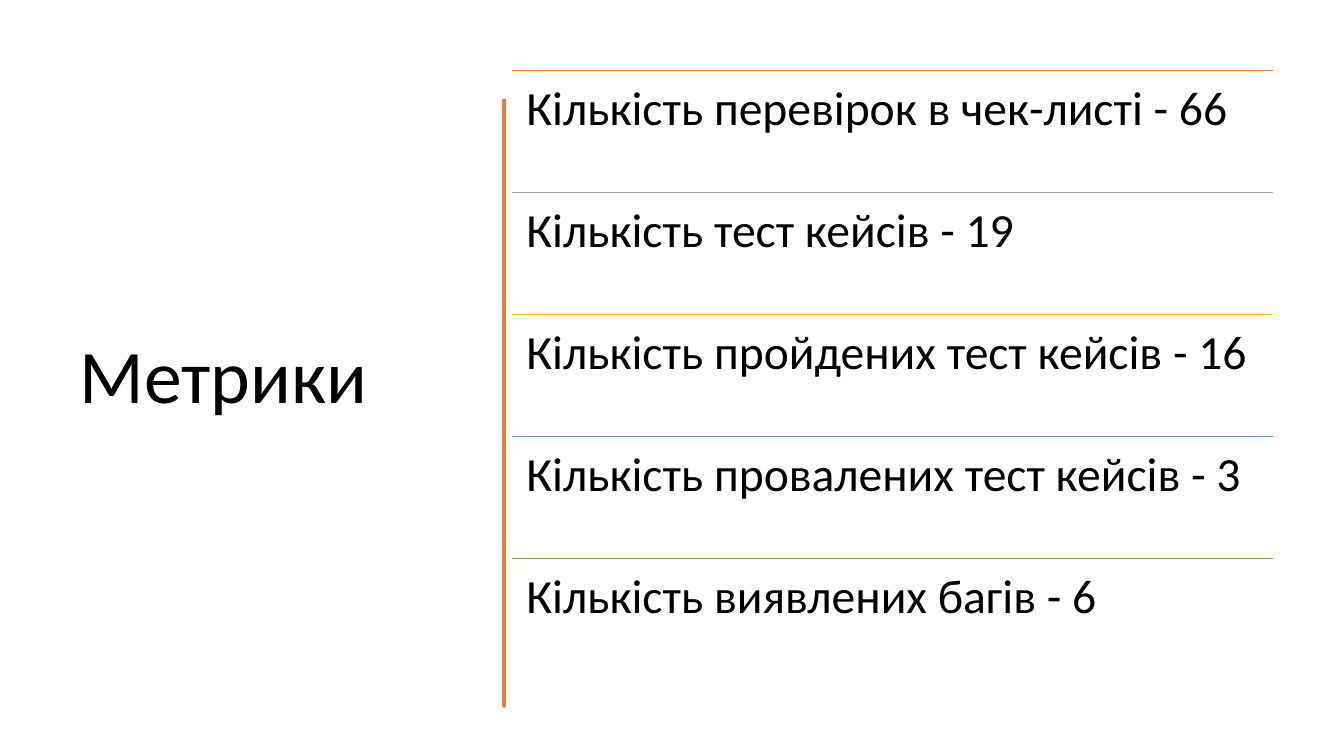
import dataclasses

import pptx
import pptx.dml.color
import pptx.enum.shapes
import pptx.enum.text
import pptx.oxml.ns
import pptx.util
import lxml.etree


@dataclasses.dataclass(frozen=True)
class Theme:
    font: str = "Calibri"
    text: str = "000000"
    brush: str = "ED7D31"
    rules: tuple = ("ED7D31", "A5A5A5", "FFC000", "599BD5", "70AD47")
    title_size: float = 54
    metric_size: float = 34
    rule_width: float = 1
    brush_width: float = 3.25


def color(value):
    return pptx.dml.color.RGBColor.from_string(value)


def write_text(shape, text, *, font, size, fill, anchor, margins):
    frame = shape.text_frame
    frame.word_wrap = True
    frame.auto_size = pptx.enum.text.MSO_AUTO_SIZE.NONE
    frame.vertical_anchor = anchor
    horizontal, vertical = map(pptx.util.Inches, margins)
    frame.margin_left = frame.margin_right = horizontal
    frame.margin_top = frame.margin_bottom = vertical
    paragraph = frame.paragraphs[0]
    paragraph.alignment = pptx.enum.text.PP_ALIGN.LEFT
    paragraph.line_spacing = 0.9
    run = paragraph.add_run()
    run.text = text
    run.font.name = font
    run.font.size = pptx.util.Pt(size)
    run.font.color.rgb = color(fill)


class MetricsSlide:
    """Draws a title, a brush stroke and ruled metric rows on one slide."""

    left, top, width, row_height = 5.08, 0.7, 7.55, 1.21

    def __init__(self, presentation, theme):
        self.theme = theme
        self.slide = presentation.slides.add_slide(presentation.slide_layouts[5])

    def row_box(self, row):
        top = self.top + row * self.row_height
        return [pptx.util.Inches(v) for v in (self.left, top, self.width, self.row_height)]

    def title(self, text):
        title = self.slide.shapes.title
        title.left, title.top, title.width, title.height = [
            pptx.util.Inches(v) for v in (0.69, 0.7, 3.74, 6.11)]
        write_text(title, text, font=self.theme.font, size=self.theme.title_size,
                   fill=self.theme.text, margins=(0.1, 0.05),
                   anchor=pptx.enum.text.MSO_ANCHOR.MIDDLE)

    def brush_stroke(self, outline):
        unit = pptx.util.Inches(1)
        builder = self.slide.shapes.build_freeform(*outline[0], scale=unit)
        builder.add_line_segments(outline[1:], close=True)
        stroke = builder.convert_to_shape()
        stroke.shadow.inherit = False
        stroke.fill.solid()
        stroke.fill.fore_color.rgb = color(self.theme.brush)
        stroke.line.color.rgb = color(self.theme.brush)
        stroke.line.width = pptx.util.Pt(self.theme.brush_width)
        line = stroke.line._get_or_add_ln()
        lxml.etree.SubElement(line, pptx.oxml.ns.qn("a:round"))

    def rule(self, row, fill):
        left, top, width, _ = self.row_box(row)
        connector = self.slide.shapes.add_connector(
            pptx.enum.shapes.MSO_CONNECTOR.STRAIGHT, left, top, left + width, top)
        connector.line.color.rgb = color(fill)
        connector.line.width = pptx.util.Pt(self.theme.rule_width)
        properties = connector._element.spPr
        lxml.etree.SubElement(properties, pptx.oxml.ns.qn("a:effectLst"))

    def metric(self, row, text):
        box = self.slide.shapes.add_textbox(*self.row_box(row))
        write_text(box, text, font=self.theme.font, size=self.theme.metric_size,
                   fill=self.theme.text, margins=(0.14, 0.14),
                   anchor=pptx.enum.text.MSO_ANCHOR.TOP)


METRICS = (
    "Кількість перевірок в чек-листі - 66",
    "Кількість тест кейсів - 19",
    "Кількість пройдених тест кейсів - 16",
    "Кількість провалених тест кейсів - 3",
    "Кількість виявлених багів - 6",
)

BRUSH_OUTLINE = (
    (4.75, 0.84), (4.76, 1.15), (4.75, 1.46), (4.76, 1.8), (4.75, 2.26),
    (4.75, 2.94), (4.76, 3.25), (4.75, 3.56), (4.77, 3.95), (4.75, 4.36),
    (4.74, 4.7), (4.75, 5.1), (4.76, 5.5), (4.75, 5.84), (4.75, 6.76),
    (4.73, 6.76), (4.72, 6.45), (4.73, 6.13), (4.73, 5.57), (4.72, 5.2),
    (4.73, 4.77), (4.72, 4.45), (4.73, 4.15), (4.72, 3.6), (4.73, 3.35),
    (4.72, 2.9), (4.73, 2.5), (4.73, 2.1), (4.72, 1.72), (4.73, 1.4),
    (4.73, 0.84),
)


def main():
    presentation = pptx.Presentation()
    presentation.slide_width = pptx.util.Inches(13.33)
    presentation.slide_height = pptx.util.Inches(7.5)
    theme = Theme()
    page = MetricsSlide(presentation, theme)
    page.title("Метрики")
    page.brush_stroke(BRUSH_OUTLINE)
    for row, (text, fill) in enumerate(zip(METRICS, theme.rules)):
        page.rule(row, fill)
        page.metric(row, text)
    presentation.save("out.pptx")


if __name__ == "__main__":
    main()
